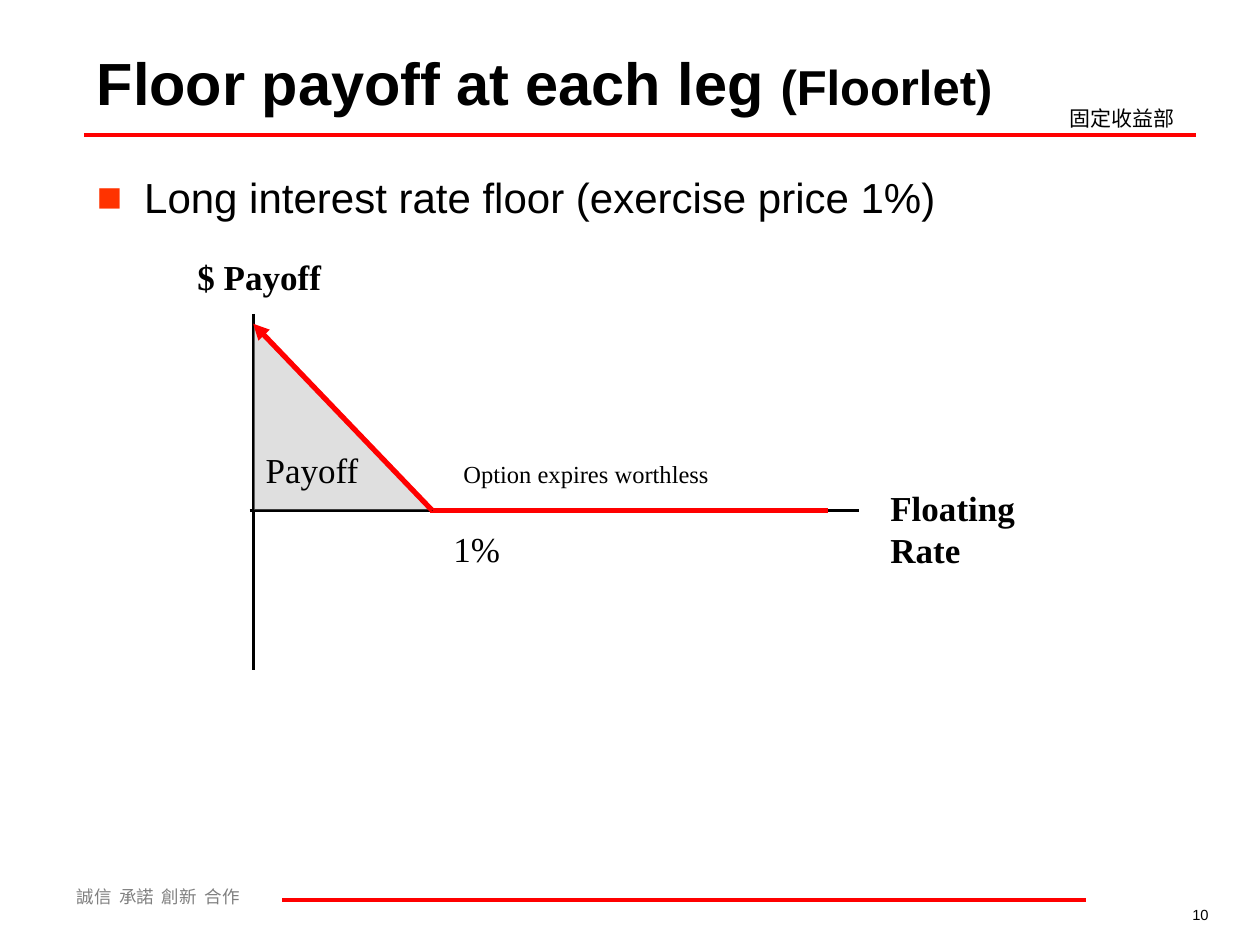
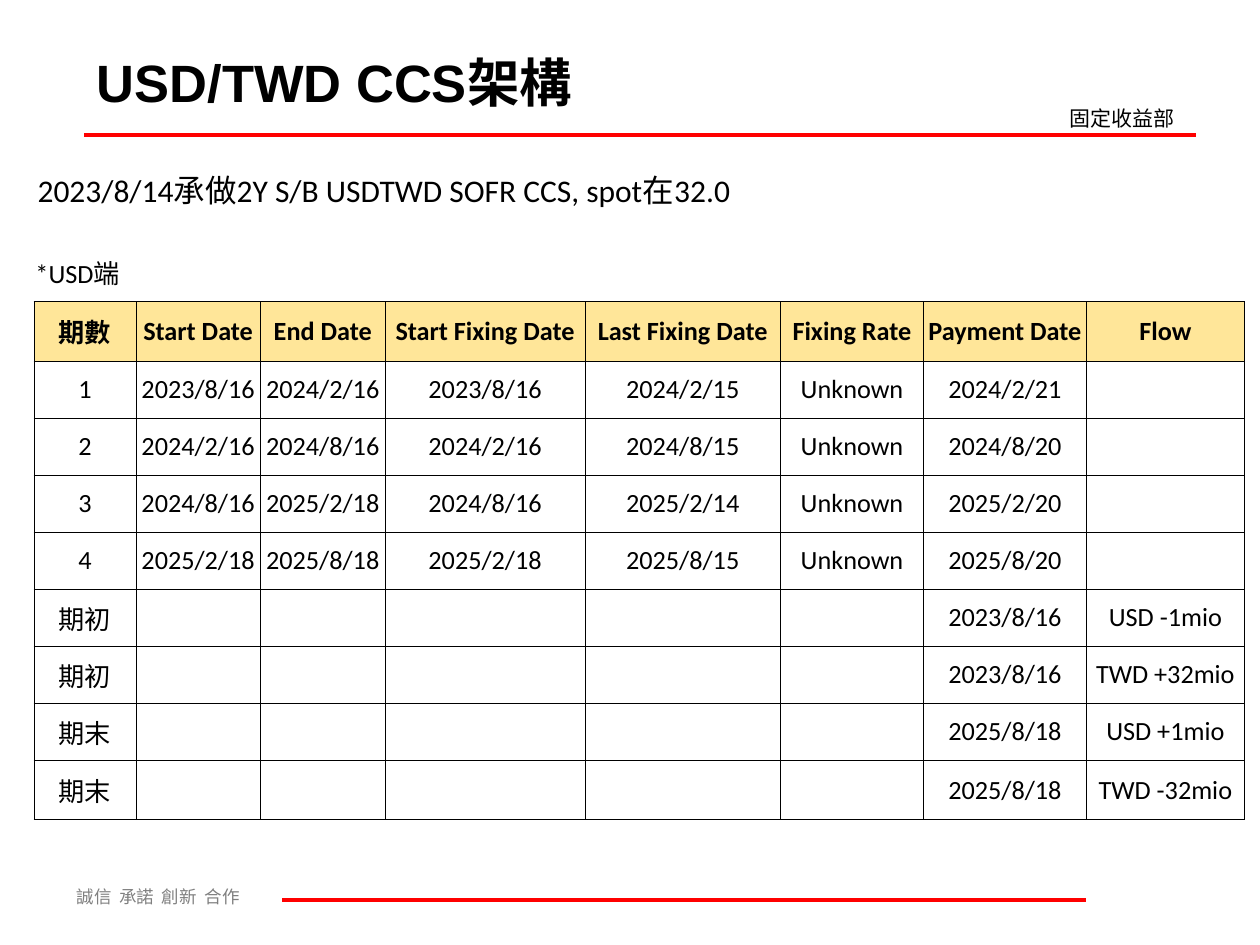
import pptx
import pptx.dml.color
import pptx.enum.shapes
import pptx.enum.text
import pptx.oxml.ns
import pptx.util
from lxml import etree

Pt = pptx.util.Pt
ALIGN = pptx.enum.text.PP_ALIGN
MIDDLE = pptx.enum.text.MSO_ANCHOR.MIDDLE

BLACK, GRAY, RED = "000000", "808080", "FF0000"
BULLET_COLOR, SHADE, HEADER_FILL = "FF3300", "C0C0C0", "FFE699"
SANS, SERIF, TABLE_FONT = "Arial", "Times New Roman", "Calibri"
CHINESE, TABLE_CHINESE = "Noto Sans CJK SC", "Noto Sans CJK TC"

TITLE_BOX = (48.2, 21.6, 527, 49.7)
BODY_BOX = (48.2, 94.3, 635.8, 388)
PAYOFF_BOX = (105.7, 142.6, 526.4, 240.5)
TABLE_BOX = (19.4, 105.8, 692, 362.9)
INTRO_BOX = (14.4, 94.3, 493.2, 28.8)
PAGE_NUMBER_BOX = (598.3, 514.1, 99.4, 17.3)

COLUMN_WIDTHS = [0.81, 0.99, 0.99, 1.59, 1.55, 1.14, 1.29, 1.26]
ROW_HEIGHTS = [0.45, 0.47, 0.47] + [0.45] * 7 + [0.47]
HEADINGS = ["期數", "Start Date", "End Date", "Start Fixing Date", "Last Fixing Date",
            "Fixing Rate", "Payment Date", "Flow"]
PERIODS = [
    ["1", "2023/8/16", "2024/2/16", "2023/8/16", "2024/2/15", "Unknown", "2024/2/21", ""],
    ["2", "2024/2/16", "2024/8/16", "2024/2/16", "2024/8/15", "Unknown", "2024/8/20", ""],
    ["3", "2024/8/16", "2025/2/18", "2024/8/16", "2025/2/14", "Unknown", "2025/2/20", ""],
    ["4", "2025/2/18", "2025/8/18", "2025/2/18", "2025/8/15", "Unknown", "2025/8/20", ""],
]
EXCHANGES = [
    ("期初", "2023/8/16", "USD -1mio"),
    ("期初", "2023/8/16", "TWD +32mio"),
    ("期末", "2025/8/18", "USD +1mio"),
    ("期末", "2025/8/18", "TWD -32mio"),
]


def rgb(color):
    return pptx.dml.color.RGBColor.from_string(color)


def add_element(parent, tag, **attributes):
    element = etree.SubElement(parent, pptx.oxml.ns.qn(tag))
    for name, value in attributes.items():
        element.set(name, value)
    return element


def points(*lengths):
    return [Pt(length) for length in lengths]


def add_run(paragraph, text, size, font, color=BLACK, bold=False):
    run = paragraph.add_run()
    run.text = text
    run.font.size = Pt(size)
    run.font.bold = bold
    run.font.color.rgb = rgb(color)
    run.font.name = font
    add_element(run.font._element, "a:ea", typeface=font)
    return run


def add_text_box(slide, box, wrap=True):
    frame = slide.shapes.add_textbox(*points(*box)).text_frame
    frame.word_wrap = wrap
    return frame.paragraphs[0]


def add_line(slide, start, end, color, width, arrow=False):
    straight = pptx.enum.shapes.MSO_CONNECTOR.STRAIGHT
    connector = slide.shapes.add_connector(straight, *points(*start, *end))
    connector.line.color.rgb = rgb(color)
    connector.line.width = Pt(width)
    add_element(connector._element.spPr, "a:effectLst")
    if arrow:
        add_element(connector.line._get_or_add_ln(), "a:tailEnd", type="triangle")


def place(shape, box):
    shape.left, shape.top, shape.width, shape.height = points(*box)


def add_frame(slide):
    paragraph = add_text_box(slide, (36.7, 502.6, 181.4, 19.4))
    for index, value in enumerate(["誠信", "承諾", "創新", "合作"]):
        if index:
            gap = add_run(paragraph, " ", 10, CHINESE, GRAY)
            gap.font._element.set("spc", "220")
        add_run(paragraph, value, 10, CHINESE, GRAY)
    add_line(slide, (48.2, 77), (683.3, 77), RED, 2.25)
    add_line(slide, (161.3, 514.1), (620.6, 514.1), RED, 2.25)
    add_run(add_text_box(slide, (604.1, 56.9, 90.7, 21.6)), "固定收益部", 12, CHINESE)


def add_title(slide, box, runs):
    title = slide.shapes.title
    place(title, box)
    title.text_frame.vertical_anchor = MIDDLE
    title.text_frame.auto_size = pptx.enum.text.MSO_AUTO_SIZE.NONE
    paragraph = title.text_frame.paragraphs[0]
    paragraph.alignment = ALIGN.LEFT
    for text, size, font in runs:
        add_run(paragraph, text, size, font, bold=True)


def add_bullet(slide, box, text):
    body = slide.placeholders[1]
    place(body, box)
    paragraph = body.text_frame.paragraphs[0]
    paragraph.space_before = Pt(0)
    properties = paragraph._p.get_or_add_pPr()
    indent = Pt(27)
    properties.set("marL", str(indent))
    properties.set("indent", str(-indent))
    add_element(add_element(properties, "a:buClr"), "a:srgbClr", val=BULLET_COLOR)
    add_element(properties, "a:buFont", typeface=SANS)
    add_element(properties, "a:buChar", char="■")
    add_run(paragraph, text, 24, SANS)


def add_payoff_diagram(slide, box):
    origin_x, origin_y = box[0] + 39, box[1] + 149

    def at(x, y):
        return origin_x + x, origin_y + y

    def add_label(text, x, y, width, height=31.7, size=20, bold=False):
        paragraph = add_text_box(slide, (*at(x, y), width, height), wrap=False)
        add_run(paragraph, text, size, SERIF, bold=bold)

    strike, peak = 102.2, -106.6
    add_line(slide, at(0, -112.3), at(0, 91.5), BLACK, 1.5)
    add_line(slide, at(-2, 0), at(346.3, 0), BLACK, 1.5)
    add_line(slide, at(100.8, 0), at(328.3, 0), RED, 3)
    add_label("$ Payoff", -39, -149, 85, bold=True)
    add_label("Option expires worthless", 113, -33, 154.8, 24.5, size=14)
    add_label("1%", 107.3, 6.5, 41)
    add_label("Floating Rate", 357, -17.3, 130.3, bold=True)

    triangle = slide.shapes.add_shape(pptx.enum.shapes.MSO_SHAPE.RIGHT_TRIANGLE,
                                      *points(*at(0, peak), strike, -peak))
    triangle.shadow.inherit = False
    triangle.fill.solid()
    triangle.fill.fore_color.rgb = rgb(SHADE)
    shade = triangle._element.spPr.find(".//" + pptx.oxml.ns.qn("a:srgbClr"))
    add_element(shade, "a:alpha", val="50000")
    triangle.line.color.rgb = rgb(BLACK)
    triangle.line.width = Pt(0.75)
    add_line(slide, at(strike, 0), at(0, peak), RED, 3, arrow=True)
    add_label("Payoff", 0, -39, 67.7)


def set_borders(cell, sides):
    properties = cell._tc.get_or_add_tcPr()
    for side in sides:
        line = add_element(properties, "a:ln" + side, w=str(Pt(0.45)))
        add_element(add_element(line, "a:solidFill"), "a:srgbClr", val=BLACK)


def fill_cell(cell, text, font=TABLE_FONT, bold=False, alignment=ALIGN.CENTER):
    cell.vertical_anchor = MIDDLE
    cell.margin_left = cell.margin_right = Pt(0.9)
    paragraph = cell.text_frame.paragraphs[0]
    paragraph.alignment = alignment
    if text:
        add_run(paragraph, text, 15, font, bold=bold)


def add_flow_table(slide, box):
    records = [HEADINGS] + PERIODS
    records += [[name] + [""] * 5 + [date, flow] for name, date, flow in EXCHANGES]
    table = slide.shapes.add_table(len(ROW_HEIGHTS), len(COLUMN_WIDTHS), *points(*box)).table
    table.first_row = table.horz_banding = False
    for column, width in zip(table.columns, COLUMN_WIDTHS):
        column.width = Pt(box[2] * width / sum(COLUMN_WIDTHS))
    for row, height in zip(table.rows, ROW_HEIGHTS):
        row.height = Pt(box[3] * height / sum(ROW_HEIGHTS))

    for row_index, row in enumerate(table.rows):
        for cell in row.cells:
            if row_index > 0:
                set_borders(cell, "B" if row_index == 1 else "LRTB")
            if row_index == 2:
                cell.fill.solid()
                cell.fill.fore_color.rgb = rgb(HEADER_FILL)
            else:
                cell.fill.background()
    table.cell(0, 0).merge(table.cell(0, 3))

    caption = table.cell(1, 0)
    fill_cell(caption, "*USD", alignment=ALIGN.LEFT)
    add_run(caption.text_frame.paragraphs[0], "端", 15, TABLE_CHINESE)
    for row_index, record in enumerate(records, start=2):
        for column_index, text in enumerate(record):
            font = TABLE_CHINESE if text[:1] == "期" else TABLE_FONT
            fill_cell(table.cell(row_index, column_index), text, font, bold=row_index == 2)


def add_intro(slide, box):
    paragraph = add_text_box(slide, box)
    texts = ["2023/8/14", "承做", "2Y S/B USDTWD SOFR CCS, spot", "在", "32.0"]
    for index, text in enumerate(texts):
        add_run(paragraph, text, 18, TABLE_CHINESE if index % 2 else TABLE_FONT)


def build_floorlet_slide(presentation):
    slide = presentation.slides.add_slide(presentation.slide_layouts[1])
    add_frame(slide)
    page_number = add_text_box(slide, PAGE_NUMBER_BOX)
    page_number.alignment = ALIGN.RIGHT
    add_run(page_number, "10", 8.4, SANS)
    add_title(slide, TITLE_BOX, [("Floor payoff at each leg ", 34, SANS),
                                 ("(Floorlet)", 28, SANS)])
    add_bullet(slide, BODY_BOX, "Long interest rate floor (exercise price 1%)")
    add_payoff_diagram(slide, PAYOFF_BOX)


def build_swap_slide(presentation):
    slide = presentation.slides.add_slide(presentation.slide_layouts[5])
    add_frame(slide)
    add_title(slide, TITLE_BOX, [("USD/TWD CCS", 30, SANS), ("架構", 30, CHINESE)])
    add_flow_table(slide, TABLE_BOX)
    add_intro(slide, INTRO_BOX)


def main():
    presentation = pptx.Presentation()
    presentation.slide_width, presentation.slide_height = points(720, 540)
    build_floorlet_slide(presentation)
    build_swap_slide(presentation)
    presentation.save("out.pptx")


if __name__ == "__main__":
    main()
